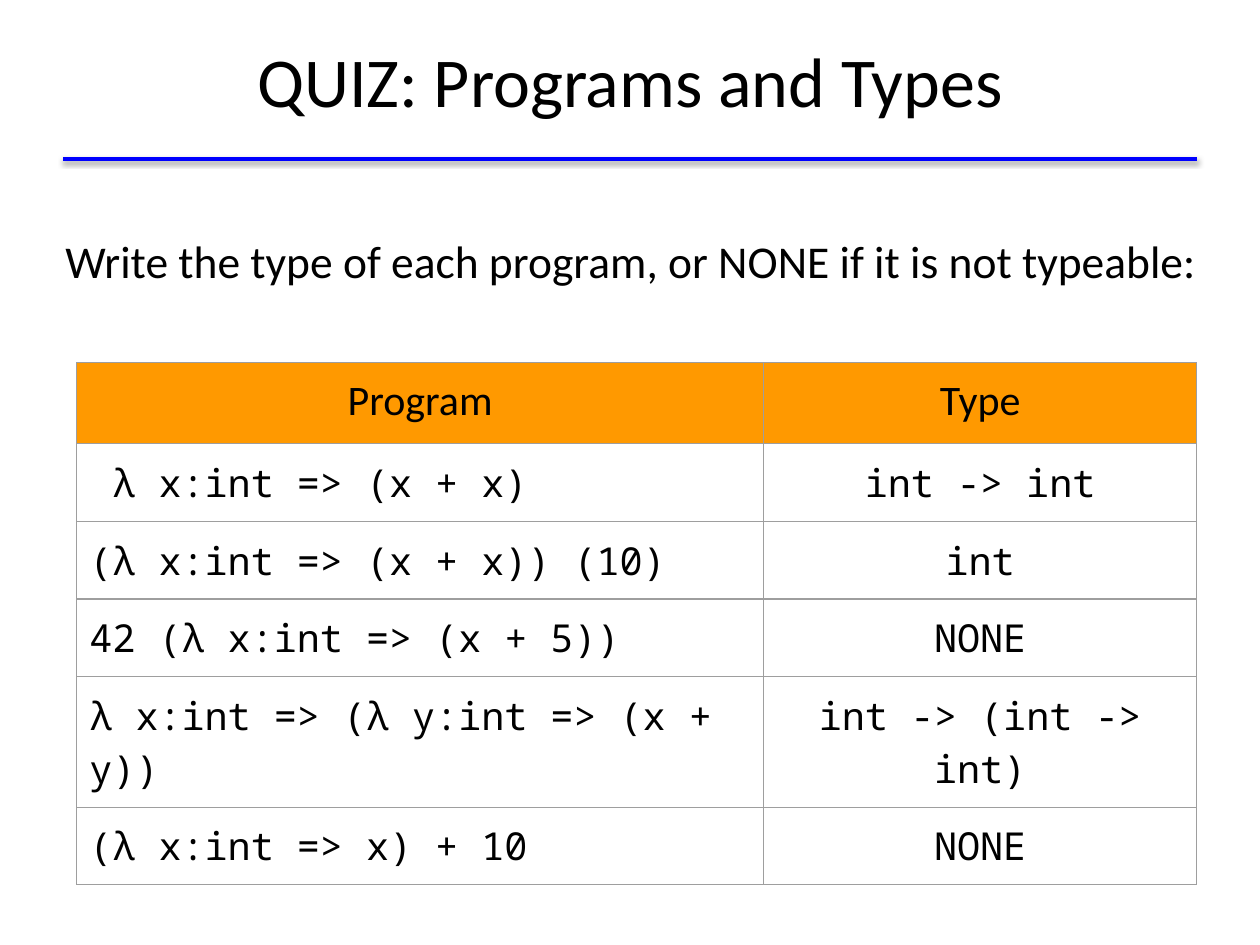
from lxml import etree
from pptx import Presentation
from pptx import util as u
from pptx.dml import color
from pptx.enum import shapes, text
from pptx.oxml import ns

WIDTH, HEIGHT = 10, 7.5
INSET = u.Inches(0.1)
BLACK, BLUE, ORANGE, GREY = "000000", "0000FF", "FF9900", "9E9E9E"
SANS, MONO = "Calibri", "Noto Sans Mono"
CENTER, LEFT = text.PP_ALIGN.CENTER, text.PP_ALIGN.LEFT
PROGRAMS = [
    (" λ x:int => (x + x)", "int -> int"),
    ("(λ x:int => (x + x)) (10)", "int"),
    ("42 (λ x:int => (x + 5))", "NONE"),
    ("λ x:int => (λ y:int => (x + y))", "int -> (int -> int)"),
    ("(λ x:int => x) + 10", "NONE"),
]


def rgb(value):
    return color.RGBColor.from_string(value)


def area(left, top, width, height):
    return [u.Inches(share * side) for share, side in
            zip((left, top, width, height), (WIDTH, HEIGHT) * 2)]


def element(parent, tag, **attributes):
    return etree.SubElement(parent, ns.qn(tag), attributes)


def write(holder, words, size, font, align):
    holder.margin_left = holder.margin_right = INSET
    holder.margin_top = holder.margin_bottom = INSET
    frame = getattr(holder, "text_frame", holder)
    para = frame.paragraphs[0]
    para.text = words
    para.alignment = align
    para.font.size = u.Pt(size)
    para.font.name = font
    para.font.bold = False
    para.font.color.rgb = rgb(BLACK)
    return para


def place_title(page, box, words):
    title = page.shapes.title
    title.left, title.top, title.width, title.height = box
    frame = title.text_frame
    frame.word_wrap = True
    frame.auto_size = text.MSO_AUTO_SIZE.NONE
    frame.vertical_anchor = text.MSO_ANCHOR.MIDDLE
    write(frame, words, 40, SANS, CENTER)
    left, top, width, height = box
    rule = page.shapes.add_connector(shapes.MSO_CONNECTOR.STRAIGHT, left,
                                     top + height, left + width, top + height)
    rule.line.color.rgb = rgb(BLUE)
    rule.line.width = u.Pt(2)
    effects = element(rule._element.spPr, "a:effectLst")
    shadow = element(effects, "a:outerShdw", blurRad=str(u.Pt(3.1)),
                     dist=str(u.Pt(1.6)), dir="5400000", rotWithShape="0")
    shade = element(shadow, "a:srgbClr", val=BLACK)
    element(shade, "a:alpha", val="38000")


def place_question(page, box, words):
    frame = page.shapes.add_textbox(*box).text_frame
    frame.word_wrap = True
    para = write(frame, words, 26, SANS, LEFT)
    properties = para._p.get_or_add_pPr()
    properties.set("marL", str(u.Inches(0.22)))
    properties.set("indent", "0")


def outline(cell):
    properties = cell._tc.get_or_add_tcPr()
    for side in "LRTB":
        edge = element(properties, f"a:ln{side}", w=str(u.Pt(0.75)))
        element(element(edge, "a:solidFill"), "a:srgbClr", val=GREY)


def place_programs(page, box, header, rows):
    records = [header, *rows]
    table = page.shapes.add_table(len(records), 2, *box).table
    table.first_row = table.horz_banding = False
    width = box[2]
    table.columns[0].width = round(width * 0.613)
    table.columns[1].width = width - table.columns[0].width
    heights = [0.64, 0.55] + [0.5] * (len(records) - 2)
    for index, (record, height) in enumerate(zip(records, heights)):
        table.rows[index].height = u.Inches(height)
        heading = index == 0
        for column, words in enumerate(record):
            cell = table.cell(index, column)
            outline(cell)
            if heading:
                cell.fill.solid()
                cell.fill.fore_color.rgb = rgb(ORANGE)
                write(cell, words, 24, SANS, CENTER)
            else:
                cell.fill.background()
                write(cell, words, 22, MONO, CENTER if column else LEFT)


def main():
    deck = Presentation()
    deck.slide_width, deck.slide_height = u.Inches(WIDTH), u.Inches(HEIGHT)
    page = deck.slides.add_slide(deck.slide_layouts.get_by_name("Title Only"))
    place_title(page, area(0.05, 0.0013, 0.9, 0.1667),
                "QUIZ: Programs and Types")
    place_programs(page, area(0.061, 0.384, 0.889, 0.4627),
                   ("Program", "Type"), PROGRAMS)
    place_question(page, area(0.02, 0.2333, 0.948, 0.1293),
                   "Write the type of each program, or NONE if it is not typeable:")
    deck.save("out.pptx")


if __name__ == "__main__":
    main()
